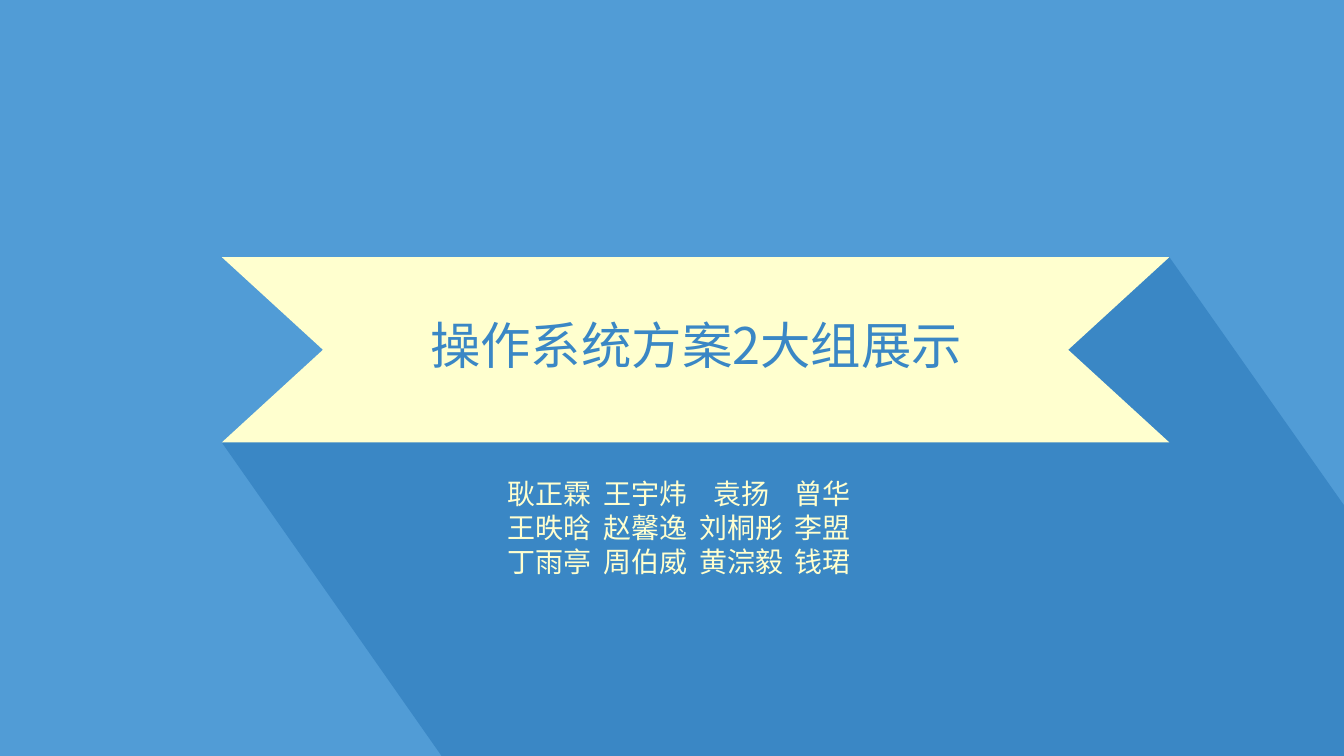
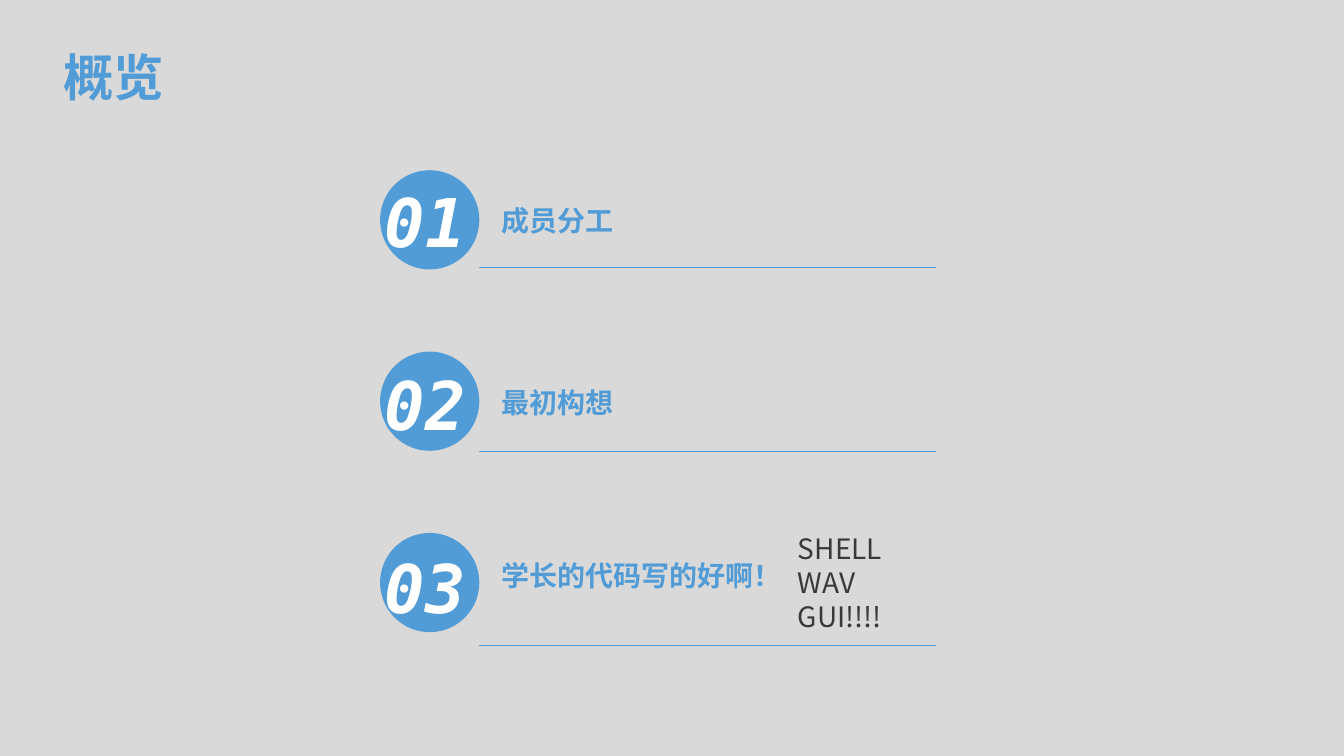
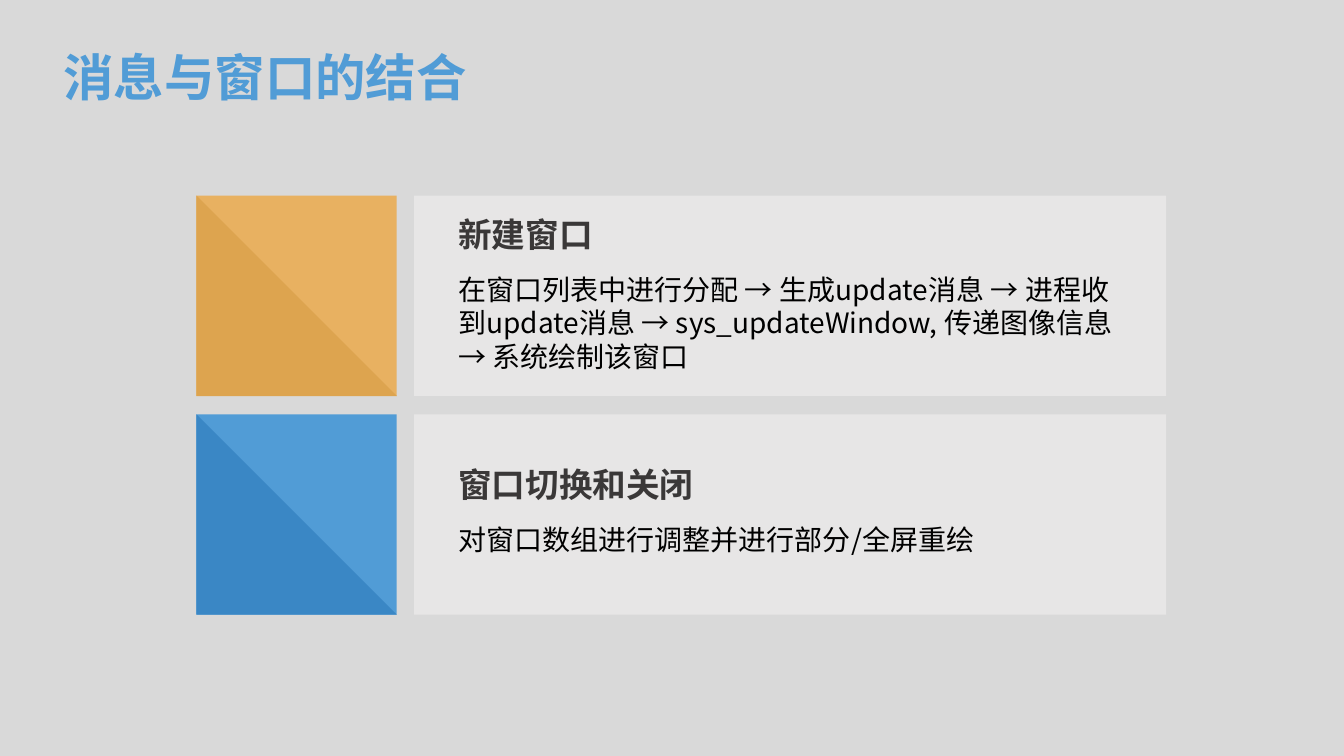
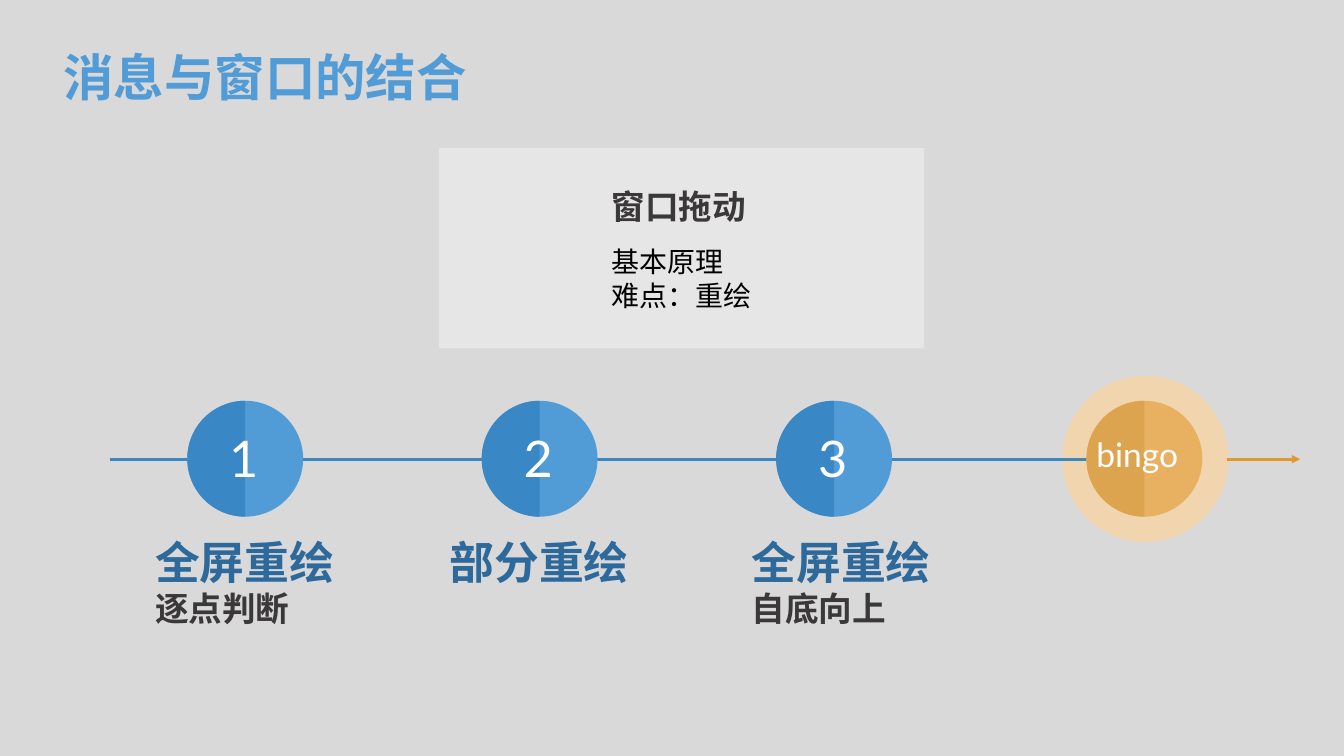
from collections import namedtuple

from lxml import etree
from pptx import Presentation
from pptx.dml.color import RGBColor
from pptx.enum.shapes import MSO_CONNECTOR, MSO_SHAPE as Form
from pptx.enum.text import PP_ALIGN as Align
from pptx.oxml.ns import qn
from pptx.util import Cm, Pt

WIDE, HIGH = 33.87, 19.05

GREY = RGBColor(0xD9, 0xD9, 0xD9)
PALE = RGBColor(0xE7, 0xE6, 0xE6)
DARK = RGBColor(0x3A, 0x38, 0x38)
BLACK = RGBColor(0, 0, 0)
WHITE = RGBColor(255, 255, 255)
CREAM = RGBColor(0xFF, 0xFF, 0xCF)
BLUE = RGBColor(0x51, 0x9C, 0xD6)
DEEP = RGBColor(0x3A, 0x87, 0xC5)
NAVY = RGBColor(0x2D, 0x69, 0x9B)
GOLD = RGBColor(0xE8, 0xB1, 0x61)
OCHRE = RGBColor(0xDD, 0xA4, 0x4F)
AMBER = RGBColor(0xE1, 0x99, 0x2F)
SAND = RGBColor(0xF0, 0xD5, 0xAE)

HAN, MONO, LATO = "Noto Sans CJK SC", "DejaVu Sans Mono", "Lato"

Style = namedtuple("Style", "size color bold italic font before",
                   defaults=(False, False, HAN, 0))
TITLE = Style(36, BLUE, True)
COVER = Style(36, DEEP)
NAMES = Style(20, CREAM)
INDEX = Style(48, WHITE, True, True, MONO)
ITEM = Style(20, BLUE, True)
NOTE = Style(20, DARK)
HEAD = Style(24, DARK, True)
LEAD = Style(20, BLACK, before=13)
BODY = Style(20, BLACK)
DIGIT = Style(36, WHITE, font=LATO)
BINGO = Style(24, WHITE, font=LATO)
STEP = Style(32, NAVY, True)


def paint(shape, color):
    shape.shadow.inherit = False
    shape.fill.solid()
    shape.fill.fore_color.rgb = color
    shape.line.fill.background()
    return shape


def draw(slide, form, box, color):
    return paint(slide.shapes.add_shape(form, *map(Cm, box)), color)


def outline(slide, points, color):
    first, *rest = [(Cm(x), Cm(y)) for x, y in points]
    path = slide.shapes.build_freeform(*first)
    path.add_line_segments(rest, close=True)
    return paint(path.convert_to_shape(), color)


def rule(slide, start, end, color, width, arrow=False):
    line = slide.shapes.add_connector(
        MSO_CONNECTOR.STRAIGHT, *map(Cm, start + end))
    line.line.color.rgb = color
    line.line.width = Pt(width)
    props = line.line._get_or_add_ln()
    if arrow:
        etree.SubElement(props, qn("a:tailEnd"), type="triangle")
    etree.SubElement(props.getparent(), qn("a:effectLst"))


def write(slide, box, rows, align=Align.LEFT):
    """Place a text box; rows are (text, style) pairs, one a paragraph."""
    frame = slide.shapes.add_textbox(*map(Cm, box)).text_frame
    frame.word_wrap = True
    for num, (text, style) in enumerate(rows):
        para = frame.add_paragraph() if num else frame.paragraphs[0]
        para.alignment = align
        para.space_before = Pt(style.before)
        run = para.add_run()
        run.text = text
        font = run.font
        font.size, font.bold, font.italic = Pt(style.size), style.bold, style.italic
        font.color.rgb = style.color
        font.name = style.font
        etree.SubElement(run._r.get_or_add_rPr(), qn("a:ea"), typeface=style.font)
    return frame


def set_tabs(frame, stops):
    """Give every paragraph the same centred tab stops."""
    for para in frame.paragraphs:
        tabs = etree.SubElement(para._p.get_or_add_pPr(), qn("a:tabLst"))
        for stop in stops:
            etree.SubElement(tabs, qn("a:tab"), pos=str(int(Cm(stop))), algn="ctr")


def add_page(deck, title=None):
    slide = deck.slides.add_slide(deck.slide_layouts[6])
    if title:
        write(slide, (1.35, 1.04, 12, 1.8), [(title, TITLE)])
    return slide


def add_ribbon(slide, left, top, width, height):
    """Draw a notched ribbon and the long shadow it throws."""
    right, base, notch = left + width, top + height, 2.55
    outline(slide, [(left, base), (left + 5.54, HIGH), (WIDE, HIGH),
                    (WIDE, top + 6.25), (right, top)], DEEP)
    mid = top + height / 2
    outline(slide, [(left, top), (right, top), (right - notch, mid),
                    (right, base), (left, base), (left + notch, mid)], CREAM)


def add_cover(deck):
    slide = add_page(deck)
    draw(slide, Form.RECTANGLE, (0, 0, WIDE, HIGH), BLUE)
    add_ribbon(slide, 5.59, 6.48, 23.88, 4.67)
    write(slide, (7.67, 7.8, 19.74, 1.8), [("操作系统方案2大组展示", COVER)],
          Align.CENTER)
    team = [("耿正霖", "王宇炜", "袁扬", "曾华"),
            ("王昳晗", "赵馨逸", "刘桐彤", "李盟"),
            ("丁雨亭", "周伯威", "黄淙毅", "钱珺")]
    frame = write(slide, (12, 11.89, 11, 2.82),
                  [("\t" + "\t".join(row), NAMES) for row in team])
    frame.margin_left = 0
    set_tabs(frame, (1.86, 4.28, 6.7, 8.74))


def add_item(slide, left, top, num, name, drops):
    """Draw one agenda row; drops are the falls of number, name and rule."""
    size, (fall, sink, base) = 2.5, drops
    draw(slide, Form.OVAL, (left, top, size, size), BLUE)
    write(slide, (left - 0.13, top + fall, 2.84, 2.3), [(f"{num:02}", INDEX)])
    rule(slide, (left + size, top + base), (left + 14, top + base), BLUE, 0.5)
    write(slide, (left + 2.8, top + sink, 9, 1.1), [(name, ITEM)])


def add_agenda(deck):
    slide = add_page(deck, "概览")
    items = [("成员分工", (0.13, 0.71, 2.44)),
             ("最初构想", (0.16, 0.74, 2.52)),
             ("学长的代码写的好啊！", (0.2, 0.53, 2.84))]
    for num, (name, drops) in enumerate(items):
        add_item(slide, 9.58, 4.29 + 4.57 * num, num + 1, name, drops)
    write(slide, (19.86, 13.28, 11.5, 2.82),
          [(word, NOTE) for word in ("SHELL", "WAV", "GUI!!!!")])


def add_card(slide, left, top, tones, drop, rows):
    """Draw a two-tone tile with a text panel to its right."""
    side = 5.05
    light, shade = tones
    draw(slide, Form.RECTANGLE, (left, top, side, side), light)
    draw(slide, Form.RIGHT_TRIANGLE, (left, top, side, side), shade)
    draw(slide, Form.RECTANGLE, (left + 5.49, top, 18.95, side), PALE)
    write(slide, (left + 6.35, top + drop, 17.2, side - 2 * drop), rows)


def add_cards(deck):
    slide = add_page(deck, "消息与窗口的结合")
    add_card(slide, 4.95, 4.93, (GOLD, OCHRE), 0.33, [
        ("新建窗口", HEAD),
        ("在窗口列表中进行分配 → 生成update消息 → 进程收到update消息 → "
         "sys_updateWindow, 传递图像信息 → 系统绘制该窗口", LEAD)])
    add_card(slide, 4.95, 10.44, (BLUE, DEEP), 1.12, [
        ("窗口切换和关闭", HEAD),
        ("对窗口数组进行调整并进行部分/全屏重绘", LEAD)])


def add_dot(slide, left, top, tones):
    """Draw a disc whose left half is darker."""
    box = (left, top, 2.92, 2.92)
    draw(slide, Form.OVAL, box, tones[0])
    half = draw(slide, Form.CHORD, box, tones[1])
    half.adjustments[0], half.adjustments[1] = 54, 162


def add_track(slide, left, top):
    """Draw the timeline; left and top are those of its first disc."""
    mid = top + 1.47
    last = left + 22.66
    draw(slide, Form.OVAL, (last - 0.61, top - 0.63, 4.19, 4.19), SAND)
    rule(slide, (left - 1.95, mid), (left + 24.64, mid), DEEP, 2, True)
    steps = [(-1.06, [("全屏重绘", STEP), ("逐点判断", HEAD)]),
             (-1.06, [("部分重绘", STEP)]),
             (-0.87, [("全屏重绘", STEP), ("自底向上", HEAD)])]
    for num, (shift, rows) in enumerate(steps):
        spot = left + 7.42 * num
        add_dot(slide, spot, top, (BLUE, DEEP))
        write(slide, (spot - 0.15, top + 0.54, 3.15, 1.8),
              [(str(num + 1), DIGIT)], Align.CENTER)
        write(slide, (spot + shift, top + 3.24, 5.64, 2.64), rows)
    add_dot(slide, last, top, (GOLD, OCHRE))
    write(slide, (last, top + 0.72, 3.15, 1.27), [("bingo", BINGO)])
    rule(slide, (last + 3.53, mid), (last + 5.39, mid), AMBER, 2, True)


def add_flow(deck):
    slide = add_page(deck, "消息与窗口的结合")
    draw(slide, Form.RECTANGLE, (11.07, 3.73, 12.22, 5.05), PALE)
    write(slide, (15.16, 4.57, 4.95, 3.45),
          [("窗口拖动", HEAD), ("基本原理", LEAD), ("难点：重绘", BODY)])
    add_track(slide, 4.72, 10.1)


def main():
    deck = Presentation()
    deck.slide_width, deck.slide_height = Cm(WIDE), Cm(HIGH)
    back = deck.slide_master.background.fill
    back.solid()
    back.fore_color.rgb = GREY
    for add in (add_cover, add_agenda, add_cards, add_flow):
        add(deck)
    deck.save("out.pptx")


if __name__ == "__main__":
    main()
